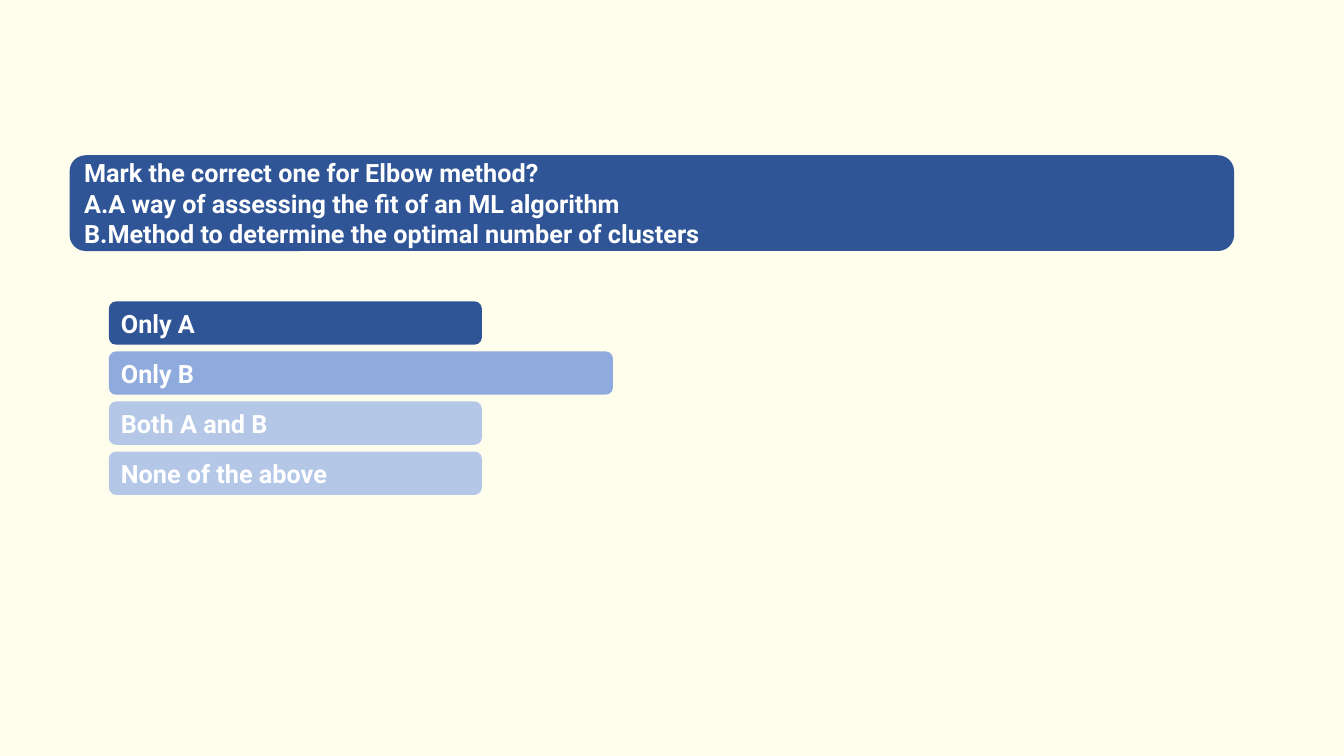
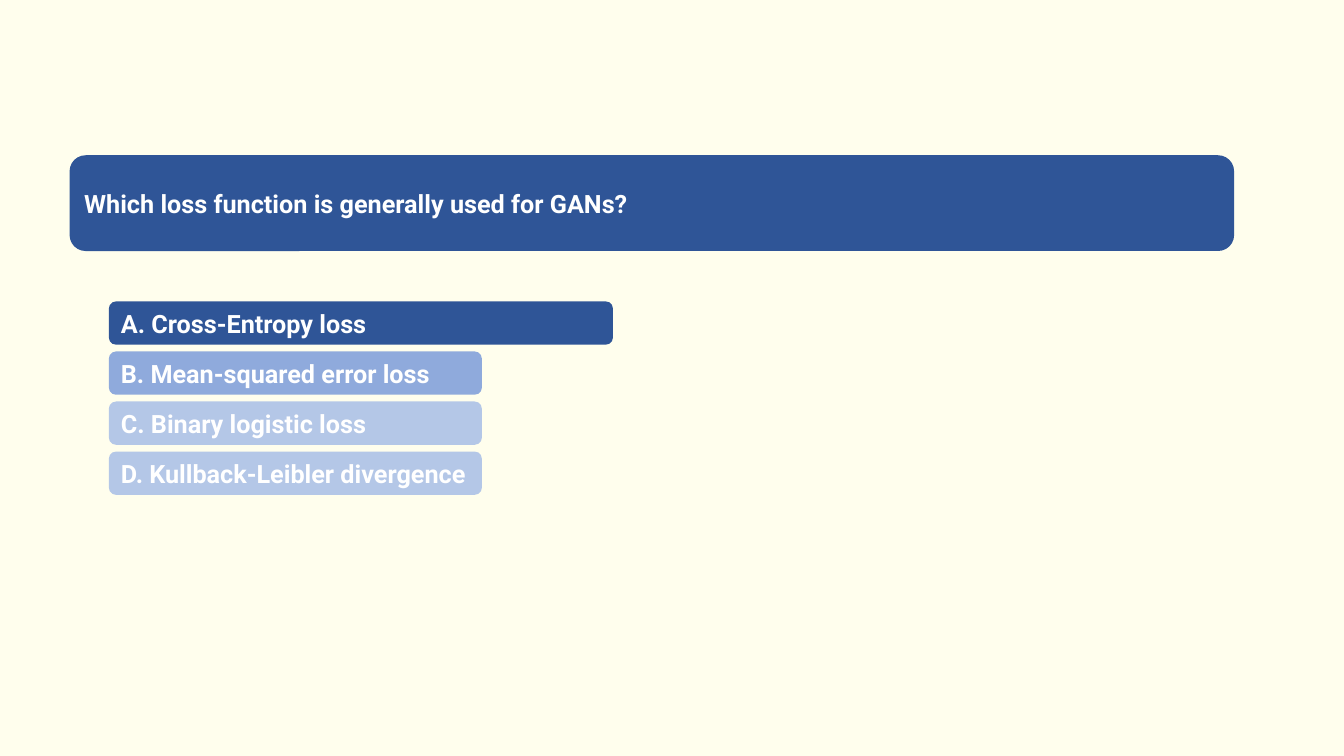
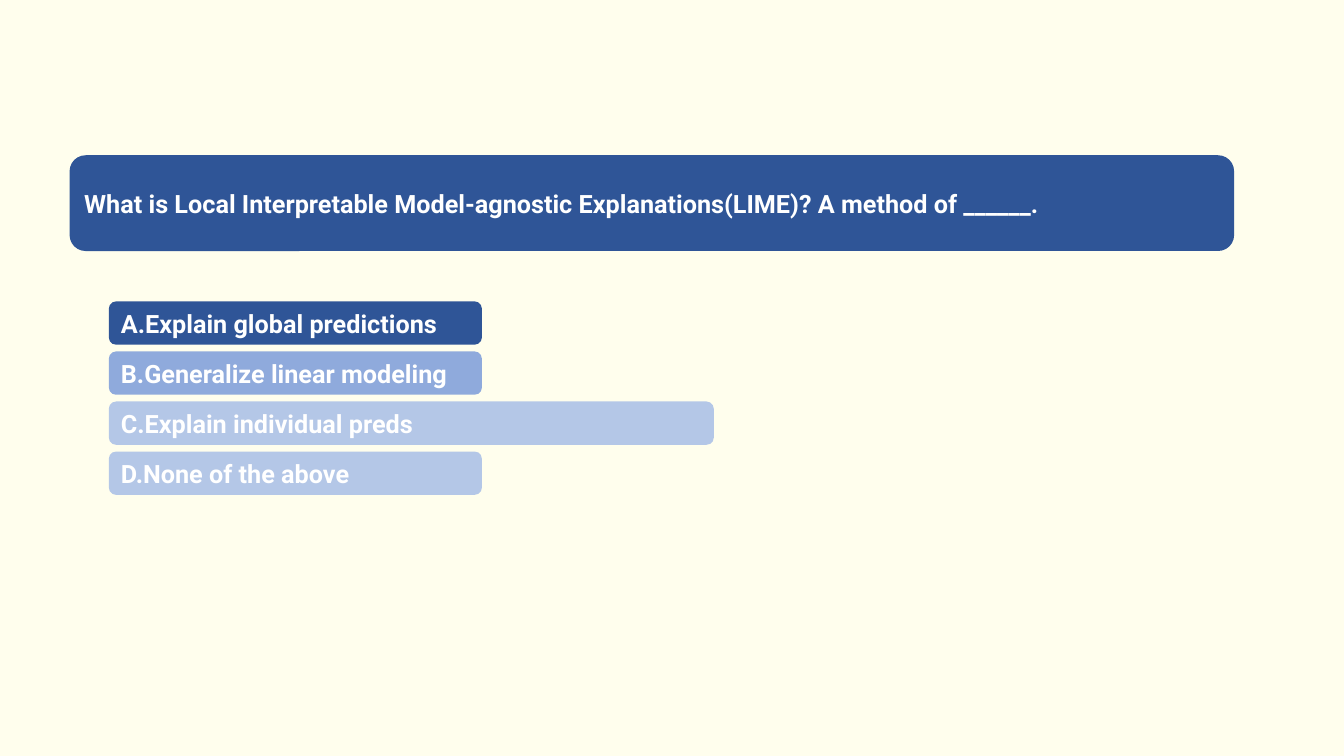
"""Build three quiz slides, each with a question band and four answer bars."""
from pptx import Presentation
from pptx.dml.color import RGBColor
from pptx.enum.shapes import MSO_SHAPE as Preset
from pptx.enum.text import MSO_ANCHOR as Anchor, PP_ALIGN as Align
from pptx.util import Inches, Pt

SHORT, LONG, LONGEST = 3.7, 5, 6
QUIZ = [
    ("Mark the correct one for Elbow method?\v"
     "A.A way of assessing the fit of an ML algorithm\v"
     "B.Method to determine the optimal number of clusters",
     [("Only A", SHORT), ("Only B", LONG),
      ("Both A and B", SHORT), ("None of the above", SHORT)]),
    ("Which loss function is generally used for GANs?",
     [("A. Cross-Entropy loss", LONG), ("B. Mean-squared error loss", SHORT),
      ("C. Binary logistic loss", SHORT), ("D. Kullback-Leibler divergence", SHORT)]),
    ("What is Local Interpretable Model-agnostic Explanations(LIME)? A method of ______.",
     [("A.Explain global predictions", SHORT), ("B.Generalize linear modeling", SHORT),
      ("C.Explain individual preds", LONGEST), ("D.None of the above", SHORT)]),
]

COLORS = {"page": "FFFEED", "text": "FFFFFF", "dark": "2F5597",
          "medium": "8FAADC", "light": "B4C7E7"}
ANSWER_COLORS = ["dark", "medium", "light", "light"]
FONT, TEXT_SIZE = "Roboto", 18
QUESTION_BOX = (0.69, 1.54, 11.55, 0.95)
ANSWER_LEFT, FIRST_TOP, LAST_TOP, ANSWER_HEIGHT = 1.08, 2.99, 4.48, 0.43
ROW_STEP = (LAST_TOP - FIRST_TOP) / (len(ANSWER_COLORS) - 1)


def paint(fill, color):
    fill.solid()
    fill.fore_color.rgb = RGBColor.from_string(COLORS[color])


def add_bar(slide, text, box, color):
    bar = slide.shapes.add_shape(Preset.ROUNDED_RECTANGLE, *map(Inches, box))
    bar.shadow.inherit = False
    paint(bar.fill, color)
    bar.line.fill.background()
    frame = bar.text_frame
    frame.word_wrap = True
    frame.vertical_anchor = Anchor.MIDDLE
    frame.text = text
    paragraph = frame.paragraphs[0]
    paragraph.alignment = Align.LEFT
    for run in paragraph.runs:
        run.font.name = FONT
        run.font.size = Pt(TEXT_SIZE)
        run.font.bold = True
        run.font.color.rgb = RGBColor.from_string(COLORS["text"])


deck = Presentation()
deck.slide_width, deck.slide_height = Inches(13.33), Inches(7.5)
paint(deck.slide_master.background.fill, "page")

for question, answers in QUIZ:
    slide = deck.slides.add_slide(deck.slide_layouts[6])
    add_bar(slide, question, QUESTION_BOX, "dark")
    for row, ((answer, width), color) in enumerate(zip(answers, ANSWER_COLORS)):
        top = FIRST_TOP + row * ROW_STEP
        add_bar(slide, answer, (ANSWER_LEFT, top, width, ANSWER_HEIGHT), color)

deck.save("out.pptx")
